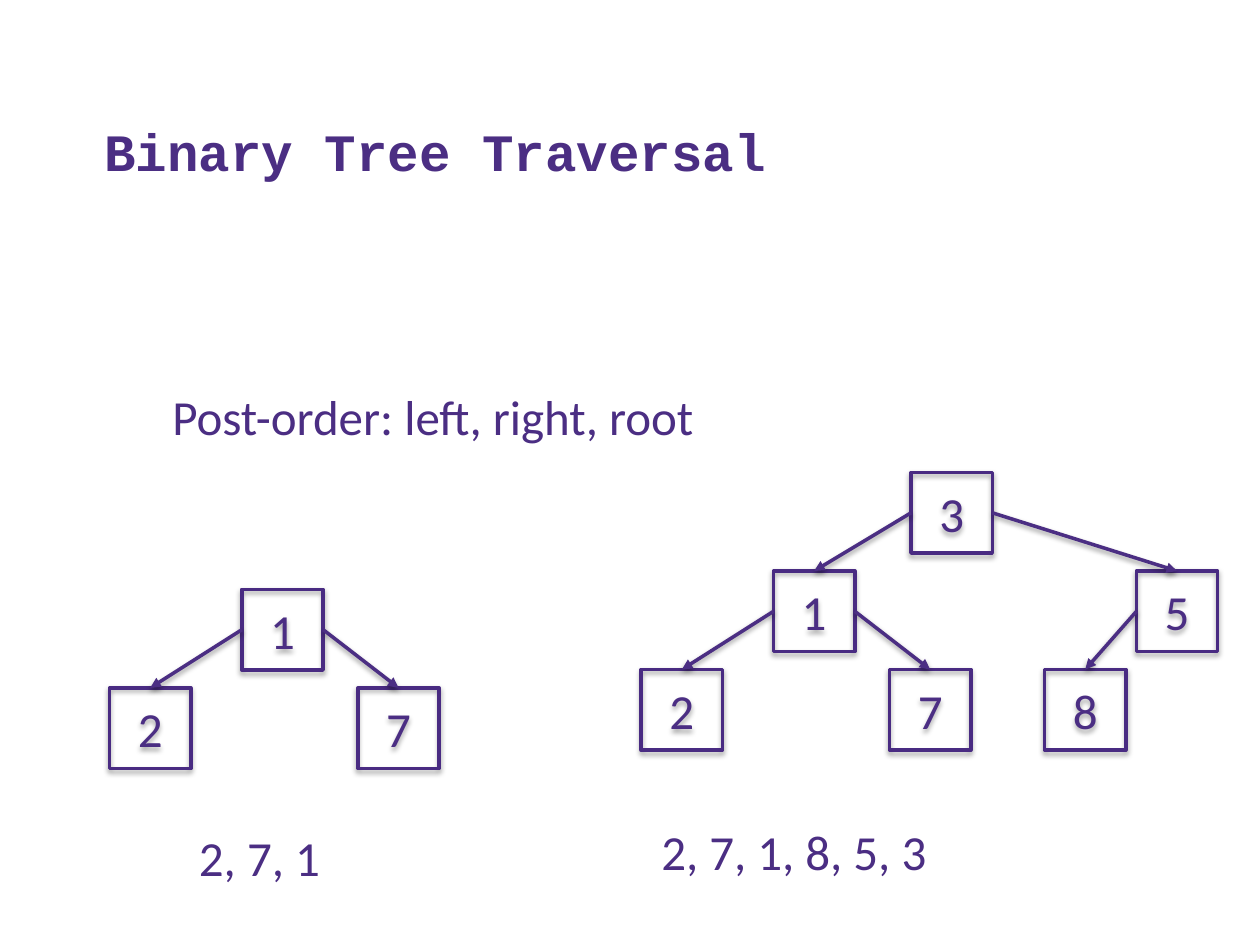
from lxml.etree import SubElement
from pptx import Presentation
from pptx.dml.color import RGBColor as Color
from pptx.enum.shapes import MSO_CONNECTOR as Connector, MSO_SHAPE as Shape
from pptx.enum.text import MSO_ANCHOR as Anchor, PP_ALIGN as Align
from pptx.oxml.ns import qn
from pptx.util import Pt

# Content: boxed texts as (text, left, top, width, height)
TITLE = ("Binary Tree Traversal", 52.5, 29.5, 644.5, 77.8)
LABELS = [
    ("Post-order: left, right, root", 91.4, 217.4, 316, 41.2),
    ("2, 7, 1", 106.6, 469.5, 85, 41.2),
    ("2, 7, 1, 8, 5, 3", 370.8, 465.8, 168.5, 41.2),
]

# Trees: node = (value, x shift from its parent, left child, right child)
SMALL_TREE = ("1", 0, ("2", -75.6, None, None), ("7", 66.3, None, None))
LARGE_TREE = (
    "3", 0,
    ("1", -78.6, *SMALL_TREE[2:]),
    ("5", 128.8, ("8", -52.5, None, None), None),
)
TREES = [(LARGE_TREE, 520.6, 270), (SMALL_TREE, 138.2, 336.8)]

NODE_WIDTH, NODE_HEIGHT, LEVEL_STEP = 46.5, 46.1, 56.3
TOP_SITE, LEFT_SITE, RIGHT_SITE = 0, 1, 3

THEME = {
    "ink": Color.from_string("4B2E83"),
    "border": Color.from_string("492B82"),
    "title_font": "Courier New",
    "body_font": "Calibri",
    "title_size": Pt(30),
    "body_size": Pt(28),
    "line": Pt(2),
}


def style_text(frame, font_name, size, bold=False):
    for span in frame.paragraphs[0].runs:
        span.font.name = font_name
        span.font.size = size
        span.font.bold = bold
        span.font.color.rgb = THEME["ink"]


def add_shadow(shape, distance, opacity):
    """Give a shape or connector a soft shadow straight below it."""
    effects = SubElement(shape._element.spPr, qn("a:effectLst"))
    shadow = SubElement(
        effects, qn("a:outerShdw"), blurRad=str(Pt(3.1)), dist=str(Pt(distance)),
        dir="5400000", rotWithShape="0")
    tint = SubElement(shadow, qn("a:srgbClr"), val="000000")
    SubElement(tint, qn("a:alpha"), val=str(opacity * 1000))


def add_text(page, text, left, top, width, height):
    box = page.shapes.add_textbox(Pt(left), Pt(top), Pt(width), Pt(height))
    box.text_frame.text = text
    return box.text_frame


def add_node(group, value, left, top):
    box = group.shapes.add_shape(
        Shape.RECTANGLE, Pt(left), Pt(top), Pt(NODE_WIDTH), Pt(NODE_HEIGHT))
    box.fill.background()
    box.line.color.rgb = THEME["border"]
    box.line.width = THEME["line"]
    add_shadow(box, 1.8, 35)
    frame = box.text_frame
    frame.text = value
    frame.vertical_anchor = Anchor.MIDDLE
    frame.paragraphs[0].alignment = Align.CENTER
    style_text(frame, THEME["body_font"], THEME["body_size"])
    return box


def add_arrow(group, parent, child, site):
    start_x = parent.left + (parent.width if site == RIGHT_SITE else 0)
    arrow = group.shapes.add_connector(
        Connector.STRAIGHT, start_x, parent.top + parent.height // 2,
        child.left + child.width // 2, child.top)
    arrow.begin_connect(parent, site)
    arrow.end_connect(child, TOP_SITE)
    arrow.line.color.rgb = THEME["ink"]
    arrow.line.width = THEME["line"]
    SubElement(arrow.line._get_or_add_ln(), qn("a:tailEnd"), type="triangle")
    add_shadow(arrow, 1.6, 38)


def add_tree(group, node, left, top):
    value, _, left_child, right_child = node
    parent = add_node(group, value, left, top)
    for child, site in ((left_child, LEFT_SITE), (right_child, RIGHT_SITE)):
        if child:
            box = add_tree(group, child, left + child[1], top + LEVEL_STEP)
            add_arrow(group, parent, box, site)
    return parent


def main():
    deck = Presentation()
    deck.slide_width, deck.slide_height = Pt(720), Pt(540)
    page = deck.slides.add_slide(deck.slide_layouts[6])

    # Title
    frame = add_text(page, *TITLE)
    frame.word_wrap = True
    frame.vertical_anchor = Anchor.BOTTOM
    style_text(frame, THEME["title_font"], THEME["title_size"], bold=True)

    # Trees
    for tree, left, top in TREES:
        add_tree(page.shapes.add_group_shape(), tree, left, top)

    # Rule and visiting orders
    for label in LABELS:
        frame = add_text(page, *label)
        frame.word_wrap = False
        style_text(frame, THEME["body_font"], THEME["body_size"])

    deck.save("out.pptx")


if __name__ == "__main__":
    main()
